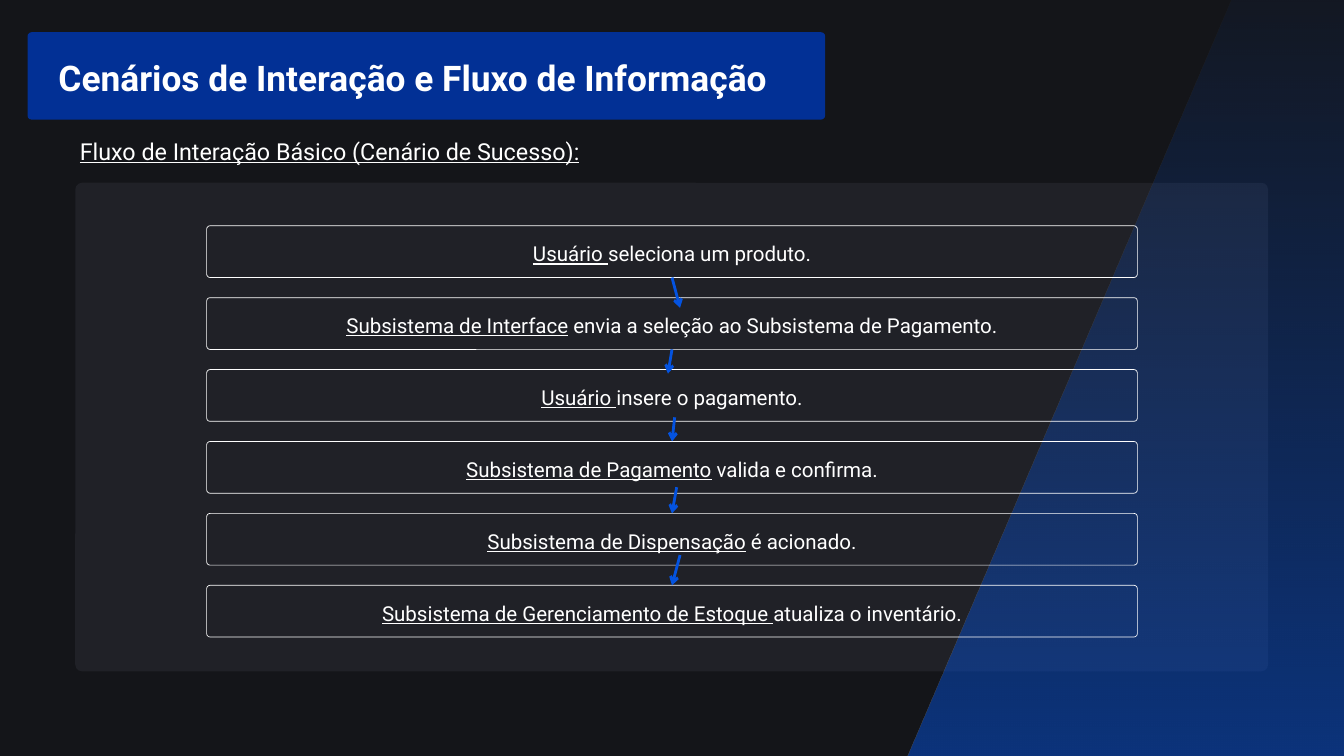
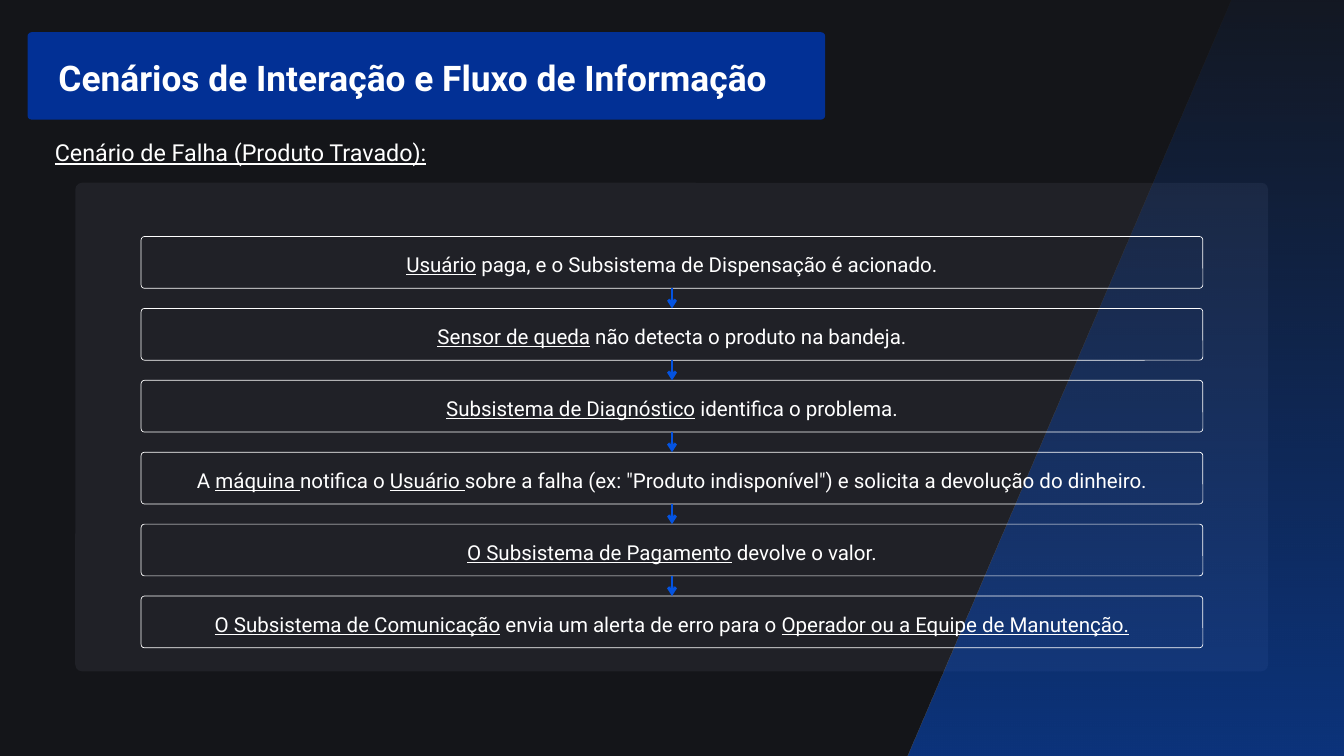
"""Build two slides that show interaction scenarios as vertical flows of steps."""
import lxml.etree
import pptx
import pptx.dml.color
import pptx.enum.dml
import pptx.enum.shapes
import pptx.enum.text
import pptx.oxml.ns
import pptx.util

TITLE = "Cenários de Interação e Fluxo de Informação"
STRAIGHT = (0, 0, 0, 0)

SCENARIOS = [
    {
        "heading": "_Fluxo de Interação Básico (Cenário de Sucesso):_",
        "heading_at": (1.12, 1.97, 7.57, 0.48),
        "first_top": 3.36,
        "step_width": 13.85,
        "steps": [
            "_Usuário _seleciona um produto.",
            "_Subsistema de Interface_ envia a seleção ao Subsistema de Pagamento.",
            "_Usuário _insere o pagamento.",
            "_Subsistema de Pagamento_ valida e confirma.",
            "_Subsistema de Dispensação_ é acionado.",
            "_Subsistema de Gerenciamento de Estoque _atualiza o inventário.",
        ],
        "arrow_shifts": [
            (0, 0, 0.12, 0.15),
            (0, 0, -0.06, 0.06),
            (0.04, -0.06, 0, 0),
            (0.07, -0.09, 0, 0),
            (0.12, -0.15, 0, 0),
        ],
    },
    {
        "heading": "_Cenário de Falha (Produto Travado):_",
        "heading_at": (0.79, 1.99, 5.58, 0.48),
        "first_top": 3.52,
        "step_width": 15.8,
        "steps": [
            "_Usuário_ paga, e o Subsistema de Dispensação é acionado.",
            "_Sensor de queda_ não detecta o produto na bandeja.",
            "_Subsistema de Diagnóstico_ identifica o problema.",
            "A _máquina _notifica o _Usuário _sobre a falha "
            "(ex: \"Produto indisponível\") e solicita a devolução do dinheiro.",
            "_O Subsistema de Pagamento_ devolve o valor.",
            "_O Subsistema de Comunicação_ envia um alerta de erro para o "
            "_Operador ou a Equipe de Manutenção._",
        ],
        "arrow_shifts": [STRAIGHT] * 5,
    },
]

WIDTH, HEIGHT = 20, 11.25
STEP_HEIGHT, STEP_GAP = 0.77, 0.3
PANEL = (1.12, 2.72, 17.75, 7.27)
TITLE_BAR = (0.41, 0.48, 11.87, 1.3)
TITLE_AT = (0.87, 0.73, 11.26, 0.71)
BAND = [(18.32, 0), (WIDTH, 0), (WIDTH, HEIGHT), (13.51, HEIGHT)]
BAND_OPACITY = (5, 50)

ALIGN = pptx.enum.text.PP_ALIGN
ANCHOR = pptx.enum.text.MSO_ANCHOR
THEME = {
    "font": "Roboto",
    "night": "141519",
    "panel": "202127",
    "bar": "023095",
    "accent": "0453E0",
    "text": "FFFFFF",
    "border": 0.75,
    "arrow": 3,
    "title": {"size": 37.8, "bold": True, "spacing": 52.9, "align": ALIGN.LEFT},
    "heading": {"size": 25, "bold": False, "spacing": 35, "align": ALIGN.CENTER},
    "step": {"size": 22, "bold": False, "spacing": 19.4, "align": ALIGN.CENTER},
}


def inches(*values):
    return [pptx.util.Inches(v) for v in values]


def color(name):
    return pptx.dml.color.RGBColor.from_string(THEME[name])


def apply(target, values):
    for name, value in values.items():
        setattr(target, name, value)


def add_xml(parent, tag, **attributes):
    return lxml.etree.SubElement(parent, pptx.oxml.ns.qn(tag), attributes)


def write(shape, text, style, anchor=ANCHOR.TOP, margins=(0, 0, 0, 0)):
    """Fill a shape with one paragraph; parts between underscores are underlined."""
    left, top, right, bottom = inches(*margins)
    tf = shape.text_frame
    apply(tf, {"word_wrap": True, "auto_size": pptx.enum.text.MSO_AUTO_SIZE.NONE,
               "vertical_anchor": anchor, "margin_left": left, "margin_top": top,
               "margin_right": right, "margin_bottom": bottom})
    p = tf.paragraphs[0]
    apply(p, {"alignment": style["align"], "space_before": pptx.util.Pt(0),
              "line_spacing": pptx.util.Pt(style["spacing"])})
    for i, part in enumerate(text.split("_")):
        if part:
            r = p.add_run()
            r.text = part
            apply(r.font, {"name": THEME["font"], "size": pptx.util.Pt(style["size"]),
                           "bold": style["bold"], "underline": i % 2 == 1})
            r.font.color.rgb = color("text")
    return p


def place(shape, box):
    apply(shape, dict(zip(("left", "top", "width", "height"), inches(*box))))


def add_rounded(s, box, radius, fill=None):
    kind = pptx.enum.shapes.MSO_SHAPE.ROUNDED_RECTANGLE
    sp = s.shapes.add_shape(kind, *inches(*box))
    sp.adjustments[0] = radius / min(box[2:])
    sp.shadow.inherit = False
    if fill:
        sp.fill.solid()
        sp.fill.fore_color.rgb = color(fill)
        sp.line.fill.background()
    else:
        sp.fill.background()
        sp.line.color.rgb = color("text")
        sp.line.width = pptx.util.Pt(THEME["border"])
    return sp


def add_band(s):
    points = [inches(*point) for point in BAND]
    builder = s.shapes.build_freeform(*points[0])
    builder.add_line_segments(points[1:], close=True)
    sp = builder.convert_to_shape()
    sp.shadow.inherit = False
    sp.line.fill.background()
    sp.fill.gradient()
    sp.fill.gradient_angle = 270
    for stop, opacity in zip(sp.fill.gradient_stops, BAND_OPACITY):
        stop.color.rgb = color("accent")
    tag = pptx.oxml.ns.qn("a:srgbClr")
    for clr, opacity in zip(sp.element.spPr.iter(tag), BAND_OPACITY):
        add_xml(clr, "a:alpha", val=str(opacity * 1000))


def add_arrow(s, *ends):
    kind = pptx.enum.shapes.MSO_CONNECTOR.STRAIGHT
    line = s.shapes.add_connector(kind, *inches(*ends))
    line.line.color.rgb = color("accent")
    line.line.width = pptx.util.Pt(THEME["arrow"])
    add_xml(line.line._get_or_add_ln(), "a:tailEnd", type="arrow")
    add_xml(line.element.spPr, "a:effectLst")


def add_frame(s, heading, heading_at):
    """Draw the panel, band, title bar, title and heading that each slide has."""
    add_rounded(s, PANEL, 0.1, "panel")
    add_band(s)
    bar = add_rounded(s, TITLE_BAR, 0.06, "bar")
    title, body = s.shapes.title, s.placeholders[1]
    place(title, TITLE_AT)
    write(title, TITLE, THEME["title"])
    place(body, heading_at)
    p = write(body, heading, THEME["heading"])
    pPr = p._p.get_or_add_pPr()
    pPr.set("marL", "0")
    pPr.set("indent", "0")
    add_xml(pPr, "a:buNone")
    bar.element.addnext(title.element)
    title.element.addnext(body.element)


def add_flow(s, scenario):
    width, pitch = scenario["step_width"], STEP_HEIGHT + STEP_GAP
    tops = [scenario["first_top"] + i * pitch for i in range(len(scenario["steps"]))]
    for top, text in zip(tops, scenario["steps"]):
        box = ((WIDTH - width) / 2, top, width, STEP_HEIGHT)
        sp = add_rounded(s, box, 0.05)
        write(sp, text, THEME["step"], ANCHOR.MIDDLE, (0.06, 0.22, 0.06, 0.06))
    for top, (x1, y1, x2, y2) in zip(tops, scenario["arrow_shifts"]):
        add_arrow(s, WIDTH / 2 + x1, top + STEP_HEIGHT + y1,
                  WIDTH / 2 + x2, top + pitch + y2)


def main():
    prs = pptx.Presentation()
    prs.slide_width, prs.slide_height = inches(WIDTH, HEIGHT)
    fill = prs.slide_master.background.fill
    fill.solid()
    fill.fore_color.rgb = color("night")
    for scenario in SCENARIOS:
        s = prs.slides.add_slide(prs.slide_layouts[1])
        add_frame(s, scenario["heading"], scenario["heading_at"])
        add_flow(s, scenario)
    prs.save("out.pptx")


if __name__ == "__main__":
    main()
